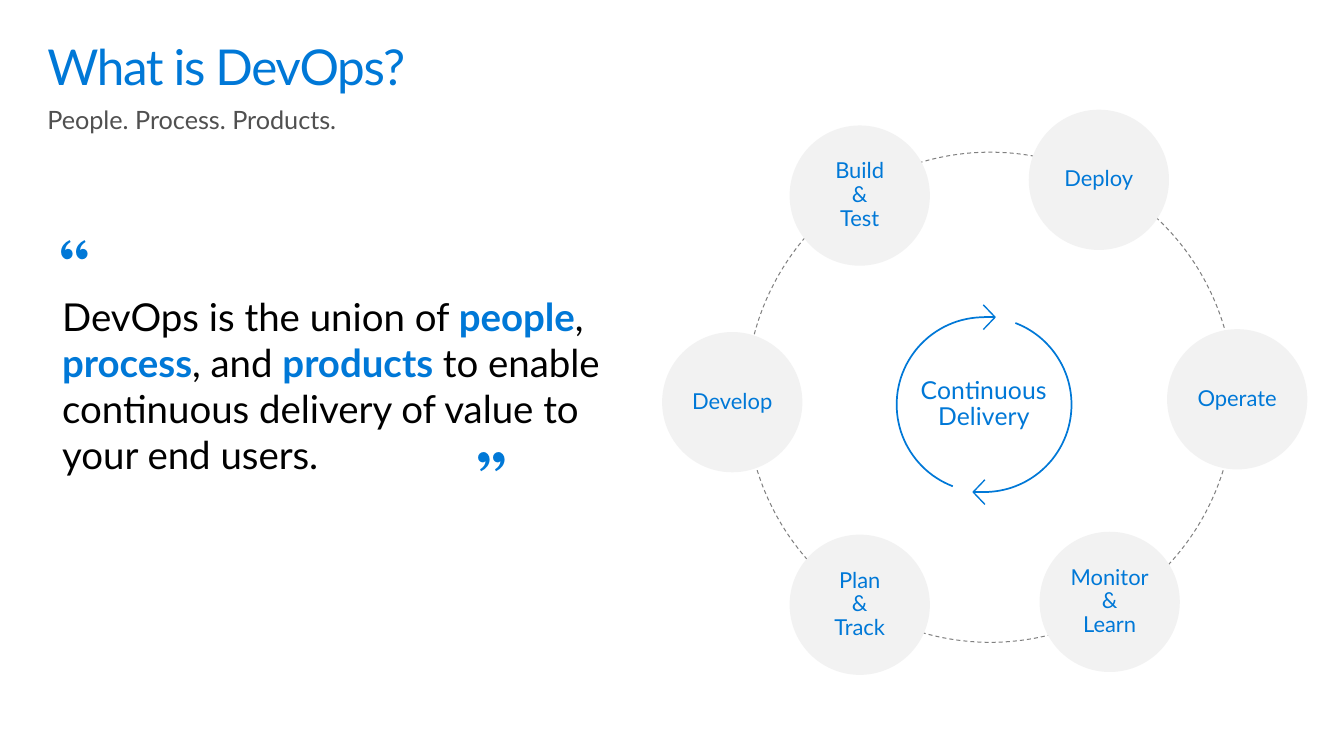
from math import cos, radians, sin

from lxml import etree
from pptx import Presentation
from pptx.dml.color import RGBColor
from pptx.enum.dml import MSO_LINE
from pptx.enum.shapes import MSO_CONNECTOR, MSO_SHAPE
from pptx.enum.text import MSO_ANCHOR as Anchor, PP_ALIGN as Align
from pptx.oxml.ns import qn
from pptx.util import Pt

BLUE = RGBColor(0x00, 0x78, 0xD7)
BLACK = RGBColor(0x00, 0x00, 0x00)
DARK_GRAY = RGBColor(0x50, 0x50, 0x50)
RING_GRAY = RGBColor(0x80, 0x80, 0x80)
PALE_GRAY = RGBColor(0xF2, 0xF2, 0xF2)

BODY_FONT = "Lato"
QUOTE_FONT = "TeX Gyre Bonum"

STAGE_SIZE = 102.2
STAGES = [
    ("Build\v&\vTest", 575.3, 91.4),
    ("Deploy", 749.5, 79.9),
    ("Operate", 850.3, 239.8),
    ("Monitor\v&\vLearn", 757.4, 387.4),
    ("Plan\v&\vTrack", 575.3, 389.5),
    ("Develop", 482.4, 241.9),
]
QUOTE = [
    ("DevOps is the union of ", False),
    ("people", True),
    (", ", False),
    ("process", True),
    (", and ", False),
    ("products", True),
    (" to enable continuous delivery of value to your end users.", False),
]
LOOP_X, LOOP_Y, LOOP_RADIUS = 717, 294.8, 63.7


class Page:
    def __init__(self, slide):
        self.shapes = slide.shapes

    def style_span(self, span, size, color, font=BODY_FONT, bold=False, tracking=0):
        span.font.size = Pt(size)
        span.font.name = font
        span.font.bold = bold
        span.font.color.rgb = color
        if tracking:
            span.font._element.set("spc", str(round(tracking * 100)))

    def set_frame(self, frame, insets=(0, 0, 0, 0), anchor=Anchor.TOP):
        frame.word_wrap = True
        frame.vertical_anchor = anchor
        frame.margin_left, frame.margin_top, frame.margin_right, frame.margin_bottom = map(Pt, insets)

    def fill_text(self, frame, text, size, color, align=Align.LEFT, spacing=1.0, after=0, **style):
        """Fill the frame with one paragraph in one style."""
        para = frame.paragraphs[0]
        para.text = text
        para.alignment = align
        para.line_spacing = spacing
        para.space_after = Pt(after)
        for span in para.runs:
            self.style_span(span, size, color, **style)
        for line_break in para._p.findall(qn("a:br")):
            etree.SubElement(line_break, qn("a:rPr"), sz=str(size * 100))

    def box(self, left, top, width, height, **layout):
        frame = self.shapes.add_textbox(Pt(left), Pt(top), Pt(width), Pt(height)).text_frame
        self.set_frame(frame, **layout)
        return frame

    def quote(self, spans, left, top, width, height):
        """Add the statement, with its key words bold and blue."""
        frame = self.box(left, top, width, height, insets=(10.8, 61.2, 14.4, 11.5))
        for text, is_key in spans:
            span = frame.paragraphs[0].add_run()
            span.text = text
            self.style_span(span, 28, BLUE if is_key else BLACK, bold=is_key)

    def quote_mark(self, mark, left, top):
        frame = self.box(left, top, 62, 86.4, insets=(7.2, 3.6, 7.2, 3.6))
        self.fill_text(frame, mark, 64, BLUE, font=QUOTE_FONT, tracking=-0.1)

    def ellipse(self, left, top, width, height):
        shape = self.shapes.add_shape(MSO_SHAPE.OVAL, Pt(left), Pt(top), Pt(width), Pt(height))
        shape.shadow.inherit = False
        return shape

    def ring(self, left, top, width, height):
        shape = self.ellipse(left, top, width, height)
        shape.fill.background()
        shape.line.color.rgb = RING_GRAY
        shape.line.width = Pt(0.75)
        shape.line.dash_style = MSO_LINE.DASH

    def stage(self, label, left, top):
        shape = self.ellipse(left, top, STAGE_SIZE, STAGE_SIZE)
        shape.fill.solid()
        shape.fill.fore_color.rgb = PALE_GRAY
        shape.line.fill.background()
        self.set_frame(shape.text_frame, anchor=Anchor.MIDDLE)
        self.fill_text(shape.text_frame, label, 16, BLUE, Align.CENTER, spacing=0.9, after=6)

    def outline(self, points, weight):
        points = [(Pt(x), Pt(y)) for x, y in points]
        builder = self.shapes.build_freeform(*points[0])
        builder.add_line_segments(points[1:], close=False)
        shape = builder.convert_to_shape()
        shape.shadow.inherit = False
        shape.fill.background()
        shape.line.color.rgb = BLUE
        shape.line.width = Pt(weight)

    def line(self, start, end):
        connector = self.shapes.add_connector(MSO_CONNECTOR.STRAIGHT, *map(Pt, start + end))
        connector.line.color.rgb = BLUE
        connector.line.width = Pt(1)
        etree.SubElement(connector._element.spPr, qn("a:effectLst"))

    def loop_arrow(self, side):
        """Draw half of the loop: side 1 runs down the right, -1 up the left."""
        def place(x, y):
            return LOOP_X + side * x, LOOP_Y + side * y

        angles = [radians(degree) for degree in range(-69, 91, 3)]
        self.outline([place(LOOP_RADIUS * cos(a), LOOP_RADIUS * sin(a)) for a in angles], 1.25)
        tip = place(-8, LOOP_RADIUS)
        barbs = [place(0.6, LOOP_RADIUS + rise) for rise in (-9, 9)]
        self.outline([barbs[0], tip, barbs[1]], 1)
        self.line(place(0, LOOP_RADIUS), tip)


def main():
    deck = Presentation()
    deck.slide_width, deck.slide_height = Pt(979.2), Pt(550.8)
    page = Page(deck.slides.add_slide(deck.slide_layouts[6]))

    title = page.box(34.5, 18, 911, 59, insets=(0, 13, 0, 0))
    page.fill_text(title, "What is DevOps?", 36, BLUE, spacing=0.9, tracking=-1)
    subtitle = page.box(34.5, 75.6, 911, 23)
    page.fill_text(subtitle, "People. Process. Products.", 18.4, DARK_GRAY)

    page.quote(QUOTE, 34.5, 152, 426, 312)
    page.quote_mark("“", 34.5, 152)
    page.quote_mark("”", 338.4, 306.7)

    page.ring(543.6, 110.9, 355.7, 357.1)
    for label, left, top in STAGES:
        page.stage(label, left, top)

    center = page.box(650.2, 249.8, 133.2, 90, anchor=Anchor.MIDDLE)
    page.fill_text(center, "Continuous\vDelivery", 18, BLUE, Align.CENTER, spacing=0.9, tracking=0.1)
    for side in (1, -1):
        page.loop_arrow(side)

    deck.save("out.pptx")


if __name__ == "__main__":
    main()
